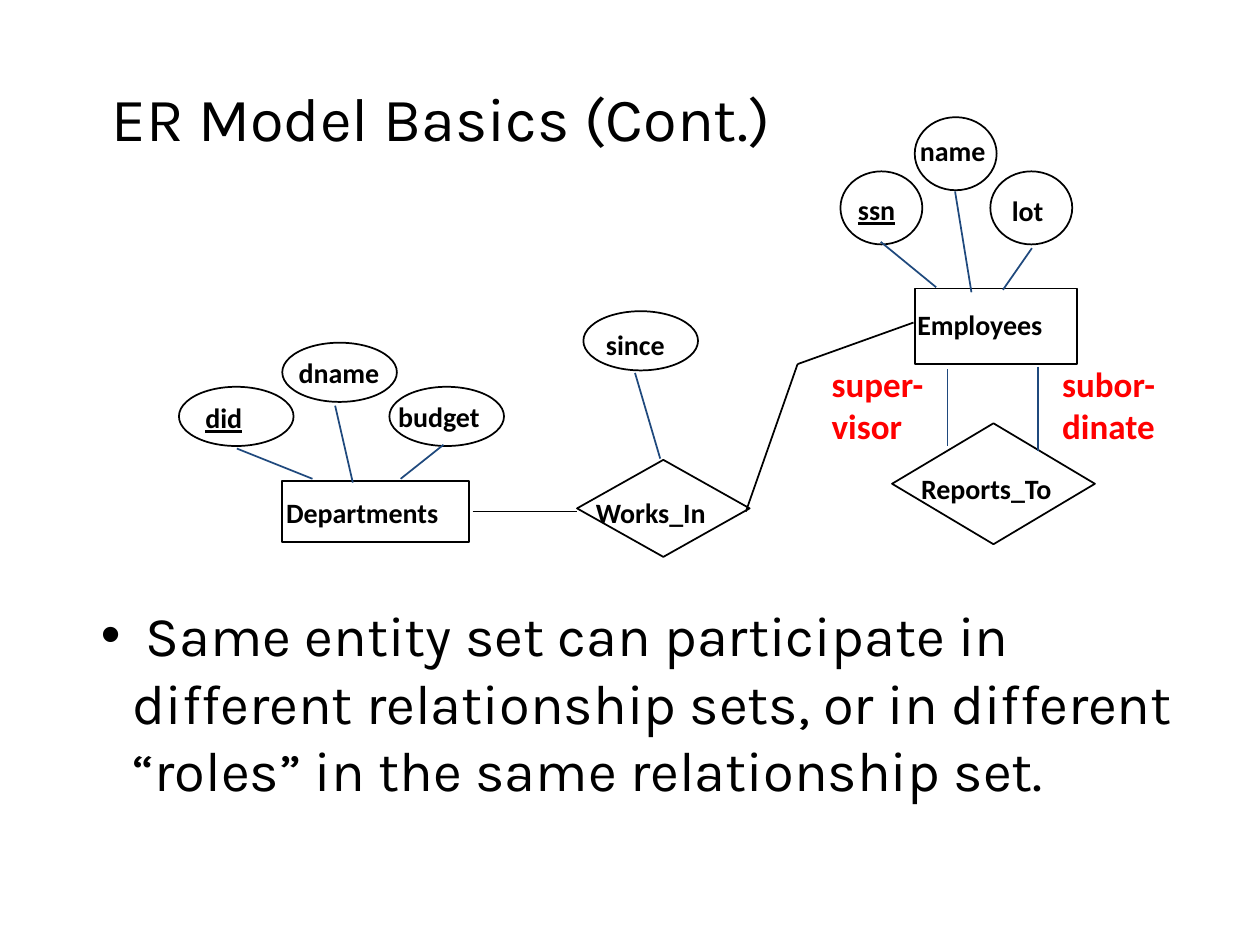
import dataclasses
import pptx
import pptx.util
import pptx.dml.color
import pptx.enum.shapes
import pptx.enum.text
import pptx.oxml.ns
import lxml.etree

COLS, ROWS = 100, 75
KIND = pptx.enum.shapes.MSO_SHAPE
OVAL, BOX, DIAMOND = KIND.OVAL, KIND.RECTANGLE, KIND.DIAMOND


@dataclasses.dataclass(frozen=True)
class Theme:
    head: str = "Karla"
    label: str = "Calibri"
    ink: str = "000000"
    link: str = "1F497D"
    role: str = "FF0000"
    title_size: float = 35.1
    body_size: float = 32
    role_size: float = 20
    label_size: float = 16
    line: float = 1
    inset: float = 0.05


THEME = Theme()

# kind, shape cells (left, top, width, height), text, text cells, is key
NODES = [
    (OVAL, (14.2, 30.7, 9.1, 4.7), "did", (15.8, 31.3, 4), True),
    (OVAL, (22.4, 27.2, 9.1, 4.7), "dname", (23.2, 27.7, 7.8), False),
    (OVAL, (30.9, 30.7, 9.1, 4.7), "budget", (31.1, 31.2, 8.1), False),
    (BOX, (22.4, 38.2, 14.8, 4.8), "Departments", (22.2, 38.8, 14.2), False),
    (OVAL, (46.3, 24.7, 9.1, 4.7), "since", (47.6, 25.5, 6.4), False),
    (DIAMOND, (45.8, 36.5, 13.7, 7.7), "Works_In", (46.8, 38.8, 10.4), False),
    (OVAL, (66.7, 13.6, 6.5, 5.8), "ssn", (67.6, 14.8, 4.4), True),
    (OVAL, (72.6, 9.3, 6.5, 5.8), "name", (72.5, 10.1, 6.5), False),
    (OVAL, (78.6, 13.6, 6.5, 5.8), "lot", (79.8, 14.9, 3.8), False),
    (BOX, (72.6, 22.9, 12.9, 6), "Employees", (72.3, 23.9, 11.9), False),
    (DIAMOND, (70.8, 33.6, 16.1, 9.6), "Reports_To", (72.6, 36.9, 13.1), False),
]
ROLES = [("super-visor", (65.5, 28.3, 9.8, 8.5)),
         ("subor-dinate", (83.8, 28.3, 10.9, 8.5))]
# Attribute and role links, each as start and end cells
LINKS = [
    (18.8, 35.6, 24.8, 38), (26.6, 32.2, 28, 38.3), (35.2, 35.3, 31.8, 38),
    (50.4, 29.6, 52.4, 36.4),
    (69.9, 19.2, 74.3, 22.8), (75.8, 15.2, 77.1, 23.2), (81.9, 19.7, 79.6, 23),
    (75.2, 29.3, 75.2, 35.4), (82.4, 29.1, 82.4, 35.8),
]
# Department to Works_In, then Works_In to Employees by way of a bend
JOINS = [(37.5, 40.6, 45.8, 40.6), (59.2, 40.6, 63.3, 28.9),
         (63.3, 28.9, 72.5, 25.6)]


def cells(deck, spots):
    """Turn alternating column and row counts into slide lengths."""
    units = (deck.slide_width / COLS, deck.slide_height / ROWS)
    return [round(spot * units[i % 2]) for i, spot in enumerate(spots)]


def color(code):
    return pptx.dml.color.RGBColor.from_string(code)


def style(part, face, size, code, bold=False, under=False):
    for run in part.runs:
        font = run.font
        font.name, font.size = face, pptx.util.Pt(size)
        font.bold, font.underline = bold, under
        font.color.rgb = color(code)


def frame_up(shape, text, wrap):
    """Fill the shape's frame, set its insets, and return its paragraph."""
    frame = shape.text_frame
    frame.text = text
    frame.word_wrap = wrap
    frame.auto_size = pptx.enum.text.MSO_AUTO_SIZE.NONE
    inset = pptx.util.Inches(THEME.inset)
    frame.margin_left = frame.margin_right = inset
    frame.margin_top = frame.margin_bottom = inset
    return frame.paragraphs[0]


def add_title(deck, slide, text):
    title = slide.shapes.title
    title.left, title.top, title.width, title.height = cells(deck, (5, 3, 60, 12.5))
    part = frame_up(title, text, True)
    part.alignment = pptx.enum.text.PP_ALIGN.CENTER
    title.text_frame.vertical_anchor = pptx.enum.text.MSO_ANCHOR.MIDDLE
    style(part, THEME.head, THEME.title_size, THEME.ink)


def add_text(deck, slide, text, spots, wrap):
    return frame_up(slide.shapes.add_textbox(*cells(deck, spots)), text, wrap)


def add_point(deck, slide, text):
    part = add_text(deck, slide, text, (7.5, 47.2, 88.3, 20), True)
    props = part._p.get_or_add_pPr()
    indent = pptx.util.Inches(0.25)
    props.set("marL", str(pptx.util.Inches(0.25)))
    props.set("indent", str(-indent))
    for tag, key, value in (("a:buFont", "typeface", "Arial"),
                            ("a:buChar", "char", "•")):
        lxml.etree.SubElement(props, pptx.oxml.ns.qn(tag)).set(key, value)
    style(part, THEME.head, THEME.body_size, THEME.ink)


def add_node(deck, slide, kind, spots, text, place, key):
    shape = slide.shapes.add_shape(kind, *cells(deck, spots))
    shape.shadow.inherit = False
    shape.fill.background()
    shape.line.color.rgb = color(THEME.ink)
    shape.line.width = pptx.util.Pt(THEME.line)
    part = add_text(deck, slide, text, (*place, 3.9), False)
    style(part, THEME.label, THEME.label_size, THEME.ink, True, key)


def add_line(deck, slide, ends, code):
    line = slide.shapes.add_connector(
        pptx.enum.shapes.MSO_CONNECTOR.STRAIGHT, *cells(deck, ends))
    line.line.color.rgb = color(code)
    line.line.width = pptx.util.Pt(THEME.line)
    lxml.etree.SubElement(line._element.spPr, pptx.oxml.ns.qn("a:effectLst"))


def main():
    deck = pptx.Presentation()
    deck.slide_width = pptx.util.Inches(10)
    deck.slide_height = pptx.util.Inches(7.5)
    slide = deck.slides.add_slide(deck.slide_layouts[5])
    add_title(deck, slide, "ER Model Basics (Cont.)")
    add_point(deck, slide, " Same entity set can participate in different "
              "relationship sets, or in different “roles” in the same "
              "relationship set.")
    for text, spots in ROLES:
        part = add_text(deck, slide, text, spots, True)
        style(part, THEME.label, THEME.role_size, THEME.role, True)
    for node in NODES:
        add_node(deck, slide, *node)
    for group, code in ((LINKS, THEME.link), (JOINS, THEME.ink)):
        for ends in group:
            add_line(deck, slide, ends, code)
    deck.save("out.pptx")


if __name__ == "__main__":
    main()
